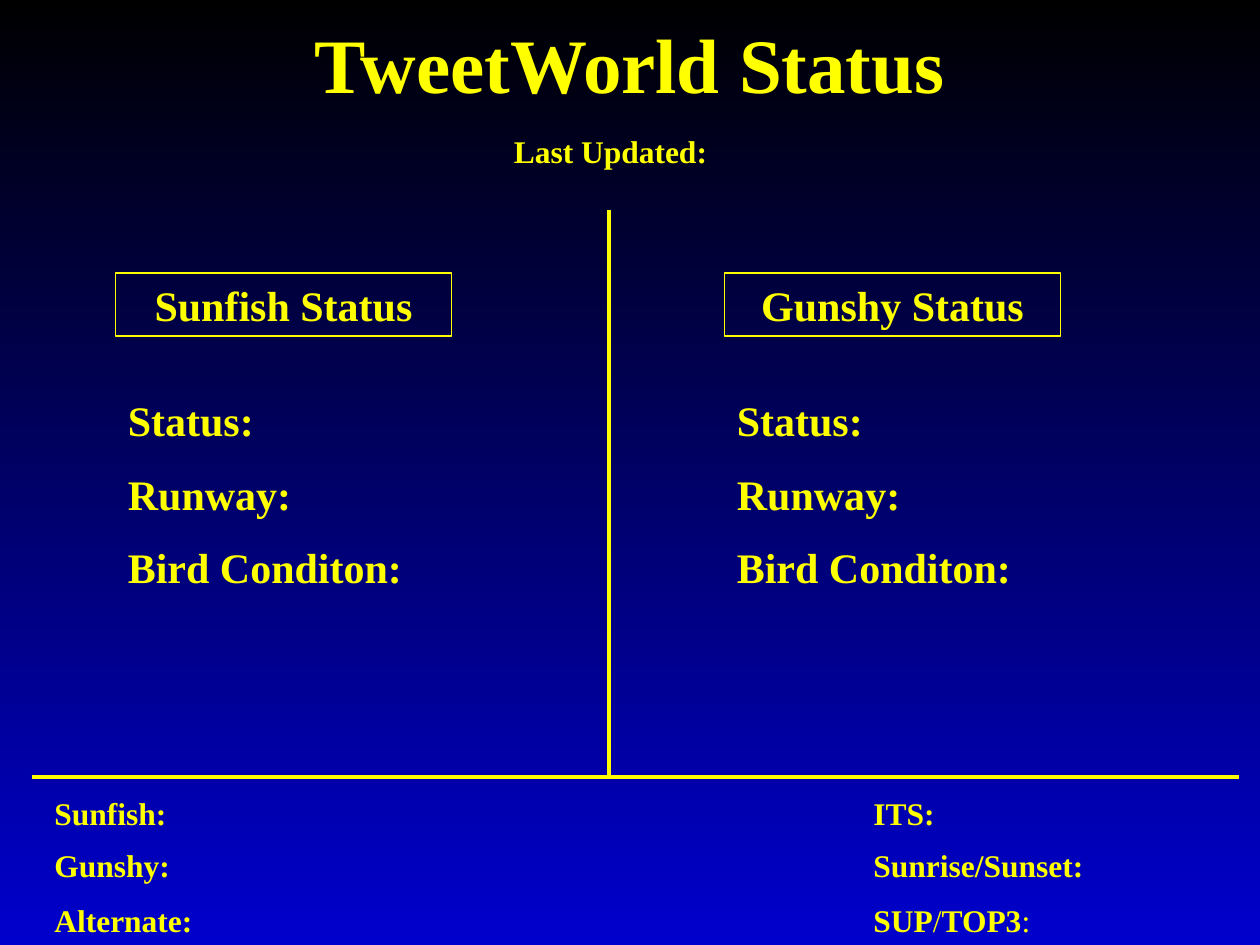
from pptx import Presentation
from pptx.dml.color import RGBColor
from pptx.enum.shapes import MSO_CONNECTOR, MSO_SHAPE
from pptx.enum.text import MSO_ANCHOR, MSO_AUTO_SIZE, PP_ALIGN
from pptx.oxml.ns import qn
from pptx.util import Emu, Pt
from lxml import etree

PX = 7620  # 120 px to the inch
FONT = "Times New Roman"
COLORS = {"yellow": "FFFF00", "black": "000000", "blue": "0000CC"}
LEFT, CENTER = PP_ALIGN.LEFT, PP_ALIGN.CENTER
TOP, MIDDLE = MSO_ANCHOR.TOP, MSO_ANCHOR.MIDDLE
GROW = MSO_AUTO_SIZE.SHAPE_TO_FIT_TEXT
STRAIGHT, RECTANGLE = MSO_CONNECTOR.STRAIGHT, MSO_SHAPE.RECTANGLE

YELLOW = RGBColor.from_string(COLORS["yellow"])


def write(box, text, size, align=LEFT, anchor=TOP):
    frame = box.text_frame
    frame.word_wrap = True
    frame.auto_size = GROW
    frame.vertical_anchor = anchor
    frame.margin_left = frame.margin_right = Emu(12 * PX)
    frame.margin_top = frame.margin_bottom = Emu(6 * PX)
    para = frame.paragraphs[0]
    para.alignment = align
    # Slashes and a colon after a slash label are set in regular weight
    pieces = ["SUP", "/", "TOP3", ":"] if text == "SUP/TOP3:" else [text]
    for piece in pieces:
        span = para.add_run()
        span.text = piece
        span.font.name = FONT
        span.font.size = Pt(size)
        span.font.bold = piece not in "/:"
        span.font.color.rgb = YELLOW


def place(left, top, width, height):
    return [Emu(value * PX) for value in (left, top, width, height)]


deck = Presentation()
deck.slide_width, deck.slide_height = Emu(1200 * PX), Emu(900 * PX)
page = deck.slides.add_slide(deck.slide_layouts[5])
shapes = page.shapes

# Background gradient, black at the top
fill = page.background.fill
fill.gradient()
fill.gradient_angle = 270
for stop, name in zip(fill.gradient_stops, ("black", "blue")):
    stop.color.rgb = RGBColor.from_string(COLORS[name])

# Title and date line
title = shapes.title
title.left, title.top, title.width, title.height = place(160, 10, 880, 101)
write(title, "TweetWorld Status", 44, CENTER)

updated = shapes.add_textbox(*place(320, 120, 570, 48))
write(updated, "Last Updated:", 18, CENTER)
updated.text_frame.margin_right = Emu(59 * PX)  # room for the date

# Dividing lines
for ends in ((30, 740, 1180, 740), (580, 200, 580, 740)):
    divider = shapes.add_connector(STRAIGHT, *place(*ends))
    divider.line.color.rgb = YELLOW
    divider.line.width = Pt(2)
    etree.SubElement(divider._element.spPr, qn("a:effectLst"))

# One status column for each field
for left, field in ((110, "Sunfish"), (690, "Gunshy")):
    heading = shapes.add_shape(RECTANGLE, *place(left, 260, 320, 60))
    heading.shadow.inherit = False
    heading.fill.background()
    heading.line.color.rgb = YELLOW
    heading.line.width = Pt(0.75)
    write(heading, f"{field} Status", 24, CENTER, MIDDLE)

    for row, label in enumerate(("Status:", "Runway:", "Bird Conditon:")):
        box = shapes.add_textbox(*place(left, 370 + 70 * row, 310, 60))
        write(box, label, 24)

# Footer labels in two columns
footer_rows = (750, 800, 852)
footer_columns = (
    (40, (("Sunfish:", 150), ("Gunshy:", 150), ("Alternate:", 170))),
    (820, (("ITS:", 110), ("Sunrise/Sunset:", 250), ("SUP/TOP3:", 180))),
)
for left, labels in footer_columns:
    for top, (label, width) in zip(footer_rows, labels):
        box = shapes.add_textbox(*place(left, top, width, 48))
        write(box, label, 18)

deck.save("out.pptx")
